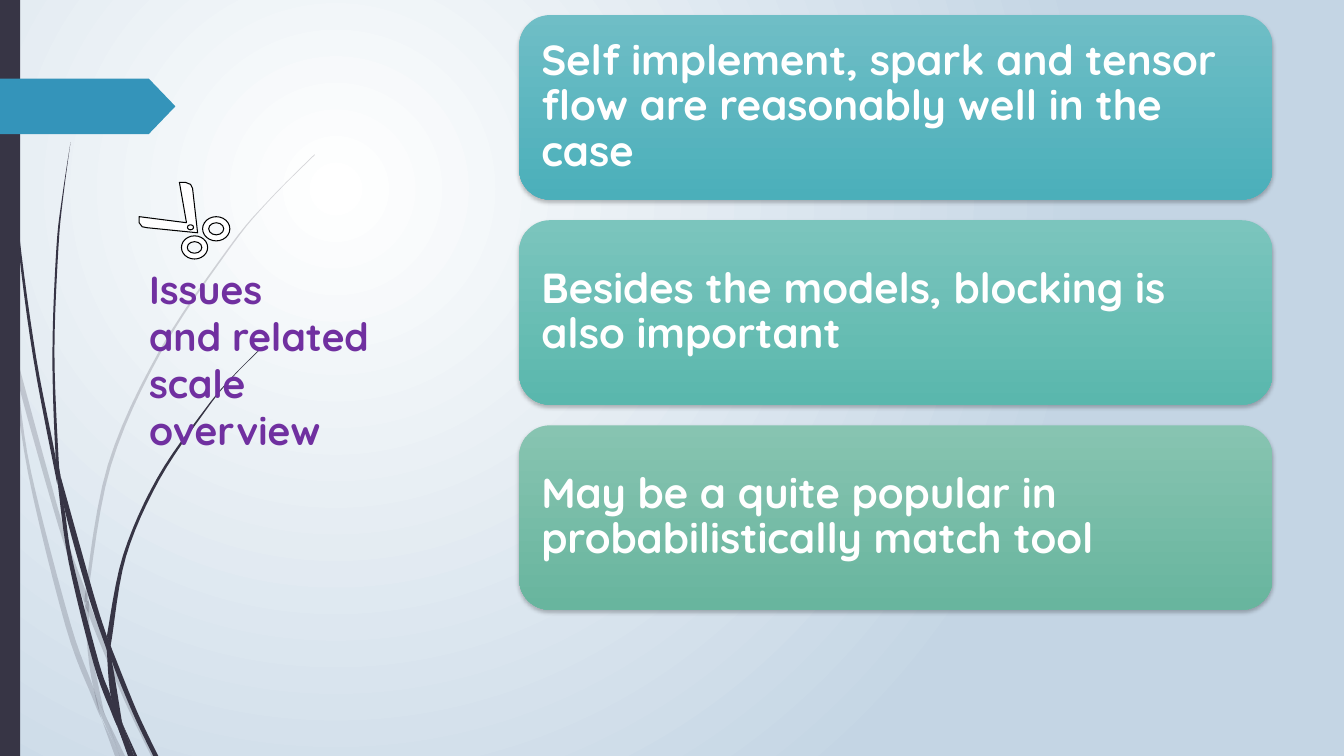
from lxml import etree
from pptx import Presentation
from pptx.dml.color import RGBColor
from pptx.enum import shapes, text
from pptx.oxml import parse_xml
from pptx.oxml.ns import qn
from pptx.util import Inches, Pt

NS = 'xmlns:a="http://schemas.openxmlformats.org/drawingml/2006/main"'
WHITE = RGBColor(0xFF, 0xFF, 0xFF)
BLACK = RGBColor(0, 0, 0)
PALE_BLUE = RGBColor(0xC4, 0xD5, 0xE4)
DARK = RGBColor(0x37, 0x35, 0x45)
BLUE = RGBColor(0x34, 0x94, 0xBA)
PURPLE = RGBColor(0x70, 0x30, 0xA0)
FONT = "Quicksand"

prs = Presentation()
prs.slide_width, prs.slide_height = Inches(13.33), Inches(7.5)
s = prs.slides.add_slide(prs.slide_layouts[6])


def smooth(points, steps=6):
    """Points along a smooth curve through the given points."""
    ends = [points[0], *points, points[-1]]
    curve = [points[0]]
    for a, b, c, d in zip(ends, ends[1:], ends[2:], ends[3:]):
        for i in range(1, steps + 1):
            t = i / steps
            curve.append(tuple(
                (2 * q + (r - p) * t + (2 * p - 5 * q + 4 * r - v) * t ** 2
                 + (3 * q - p - 3 * r + v) * t ** 3) / 2
                for p, q, r, v in zip(a, b, c, d)))
    return curve


def outline(points, color):
    """Closed filled shape through points given in inches."""
    corners = [(Inches(x), Inches(y)) for x, y in points]
    builder = s.shapes.build_freeform(*corners[0], scale=1.0)
    builder.add_line_segments(corners[1:], close=True)
    sp = builder.convert_to_shape()
    sp.shadow.inherit = False
    sp.fill.solid()
    sp.fill.fore_color.rgb = color
    sp.line.fill.background()
    return sp


# Background glow centred in the upper left
glow = s.background.fill
glow.gradient()
for stop, color in zip(glow.gradient_stops, (WHITE, PALE_BLUE)):
    stop.color.rgb = color
grad = s._element.find(".//" + qn("a:gradFill"))
grad.remove(grad.find(qn("a:lin")))
grad.append(parse_xml(
    f'<a:path {NS} path="circle"><a:fillToRect l="50000" t="50000" '
    'r="100000" b="100000"/></a:path>'))

# Grass blades: left edge and right edge, each from top to bottom
pale_blades = [
    ([(0, 2.99), (.1, 3.44), (.11, 3.5)], [(0, 2.82), (.09, 3.22), (.11, 3.5)]),
    ([(.14, 3.45), (.17, 3.76), (.58, 5.22), (.84, 5.99)],
     [(.14, 3.45), (.62, 5.2), (.85, 5.86)]),
    ([(.88, 5.96), (.88, 6.1), (1.23, 6.94), (1.5, 7.5)],
     [(.88, 5.96), (.92, 6.07), (1.27, 6.92), (1.55, 7.5)]),
    ([(1.05, 7.11), (1.19, 7.5)], [(1.05, 7.11), (1.24, 7.5)]),
    ([(.11, 3.5), (.28, 4.7), (.65, 6.21), (.92, 6.93), (1.01, 7.14)],
     [(.11, 3.5), (.17, 3.76), (.31, 4.69), (.7, 6.19), (.93, 6.83), (.99, 7.07)]),
    ([(.84, 5.99), (.87, 6.46), (.93, 6.83), (1.05, 7.11)],
     [(.84, 5.99), (.88, 6.1), (.91, 6.46), (1.03, 7.06)]),
    ([(3.12, 1.53), (2.68, 1.97), (2.28, 2.44), (1.58, 3.48), (1.07, 4.61),
      (.85, 5.84), (.88, 5.96)],
     [(3.12, 1.54), (2.68, 1.98), (2.29, 2.45), (1.6, 3.49), (1.1, 4.62),
      (.88, 5.84), (.88, 5.96)]),
    ([(1.01, 7.14), (1.14, 7.5)], [(1.01, 7.14), (1.19, 7.5)]),
    ([(.85, 5.86), (.84, 5.99), (.88, 6.08)], [(.85, 5.86), (.88, 5.96), (.88, 6.1)]),
    ([(.93, 6.83), (.99, 7.07), (1.19, 7.5)],
     [(.93, 6.83), (.96, 6.92), (1.05, 7.11), (1.19, 7.5)]),
]
dark_blades = [
    ([(.03, 0), (.07, 1.1), (.17, 2.33), (.33, 3.55), (.57, 4.81)],
     [(.04, 0), (.08, 1.09), (.19, 2.32), (.36, 3.55), (.55, 4.53), (.57, 4.81)]),
    ([(.6, 4.72), (.64, 5.05), (.88, 5.92), (1.06, 6.45)],
     [(.6, 4.72), (.93, 5.9), (1.06, 6.31)]),
    ([(1.1, 6.41), (1.11, 6.56), (1.32, 7.08), (1.52, 7.5)],
     [(1.1, 6.41), (1.13, 6.49), (1.36, 7.06), (1.57, 7.5)]),
    ([(.57, 4.77), (.68, 5.57), (.93, 6.59), (1.11, 7.08), (1.17, 7.22)],
     [(.57, 4.77), (.64, 5.05), (.72, 5.56), (.98, 6.57), (1.1, 6.91), (1.16, 7.17)]),
    ([(.7, 1.41), (.62, 1.93), (.56, 2.45), (.52, 3.49), (.55, 4.49), (.6, 4.72)],
     [(.7, 1.41), (.63, 1.93), (.58, 2.45), (.54, 3.49), (.58, 4.53), (.6, 4.72)]),
    ([(1.22, 7.19), (1.33, 7.5)], [(1.22, 7.19), (1.36, 7.5)]),
    ([(.55, 4.49), (.57, 4.77), (.64, 5.05)], [(.55, 4.49), (.6, 4.72), (.64, 5.05)]),
    ([(2.6, 3.44), (2.31, 3.73), (2.04, 4.05), (1.56, 4.74), (1.22, 5.51), (1.06, 6.31)],
     [(2.61, 3.44), (2.31, 3.74), (2.05, 4.06), (1.58, 4.76), (1.25, 5.52),
      (1.11, 6.33), (1.1, 6.41)]),
    ([(1.17, 7.22), (1.27, 7.5)], [(1.17, 7.22), (1.31, 7.5)]),
    ([(1.06, 6.45), (1.1, 6.91), (1.22, 7.19)],
     [(1.06, 6.45), (1.11, 6.56), (1.21, 7.16)]),
    ([(1.06, 6.31), (1.06, 6.45), (1.11, 6.56)],
     [(1.06, 6.31), (1.1, 6.41), (1.11, 6.56)]),
    ([(1.1, 6.91), (1.17, 7.22), (1.3, 7.5)], [(1.1, 6.91), (1.22, 7.19), (1.33, 7.5)]),
]
for blades, opacity in ((pale_blades, 20), (dark_blades, 100)):
    for left, right in blades:
        sp = outline(smooth(left) + smooth(right)[::-1], DARK)
        if opacity < 100:
            clr = sp._element.spPr.find(".//" + qn("a:srgbClr"))
            etree.SubElement(clr, qn("a:alpha"), val=str(opacity * 1000))

# Side bar and page arrow
for kind, y, w, h, color in (
        (shapes.MSO_SHAPE.RECTANGLE, 0, .2, 7.5, DARK),
        (shapes.MSO_SHAPE.PENTAGON, .78, 1.74, .55, BLUE)):
    sp = s.shapes.add_shape(kind, 0, Inches(y), Inches(w), Inches(h))
    sp.shadow.inherit = False
    sp.fill.solid()
    sp.fill.fore_color.rgb = color
    sp.line.fill.background()
sp.adjustments[0] = .48

# Title
tf = s.shapes.add_textbox(
    Inches(1.38), Inches(2.58), Inches(2.68), Inches(4.12)).text_frame
tf.word_wrap = True
p = tf.paragraphs[0]
for i, line in enumerate(("Issues", "and related", "scale", "overview")):
    if i:
        p.add_line_break()
    r = p.add_run()
    r.text = line
    r.font.name, r.font.size, r.font.bold = FONT, Pt(28), True
    r.font.color.rgb = PURPLE

# Message cards
cards = [
    ("Self implement, spark and tensor flow are reasonably well in the case",
     RGBColor(0x6F, 0xBE, 0xC6), RGBColor(0x4B, 0xAF, 0xBA)),
    ("Besides the models, blocking is also important",
     RGBColor(0x7B, 0xC5, 0xBD), RGBColor(0x5A, 0xB7, 0xAD)),
    ("May be a quite popular in probabilistically match tool",
     RGBColor(0x87, 0xC4, 0xB1), RGBColor(0x68, 0xB5, 0x9E)),
]
for i, (message, *shades) in enumerate(cards):
    sp = s.shapes.add_shape(
        shapes.MSO_SHAPE.ROUNDED_RECTANGLE, Inches(5.15),
        Inches(.15 + 2.035 * i), Inches(7.47), Inches(1.83))
    sp.fill.gradient()
    sp.fill.gradient_angle = 270
    for stop, color in zip(sp.fill.gradient_stops, shades):
        stop.color.rgb = color
    sp.line.fill.background()
    sp._element.spPr.append(parse_xml(
        f'<a:effectLst {NS}><a:outerShdw blurRad="38100" dist="25400" '
        'dir="5400000" rotWithShape="0"><a:srgbClr val="000000">'
        '<a:alpha val="25000"/></a:srgbClr></a:outerShdw></a:effectLst>'))
    tf = sp.text_frame
    tf.word_wrap = True
    tf.vertical_anchor = text.MSO_ANCHOR.MIDDLE
    tf.margin_left = tf.margin_right = Inches(.13)
    p = tf.paragraphs[0]
    p.alignment = text.PP_ALIGN.LEFT
    p.line_spacing = .9
    r = p.add_run()
    r.text = message
    r.font.name, r.font.size, r.font.bold = FONT, Pt(30), True
    r.font.color.rgb = WHITE

# Scissors: blades, finger rings and pivot
scissors = [outline(
    [(1.84, 1.81), (1.78, 1.81), (1.85, 2.21), (1.38, 2.15), (1.38, 2.21),
     (1.41, 2.25), (1.46, 2.26), (1.96, 2.31), (1.91, 1.87), (1.89, 1.83)], WHITE)]
for kind, x, y, w, h in (
        (shapes.MSO_SHAPE.DONUT, 1.8, 2.34, .26, .23),
        (shapes.MSO_SHAPE.DONUT, 2.01, 2.15, .27, .24),
        (shapes.MSO_SHAPE.OVAL, 1.86, 2.23, .06, .05)):
    sp = s.shapes.add_shape(kind, Inches(x), Inches(y), Inches(w), Inches(h))
    sp.shadow.inherit = False
    sp.fill.solid()
    sp.fill.fore_color.rgb = WHITE
    scissors.append(sp)
for sp in scissors:
    sp.line.color.rgb = BLACK
    sp.line.width = Pt(.75)

prs.save("out.pptx")
